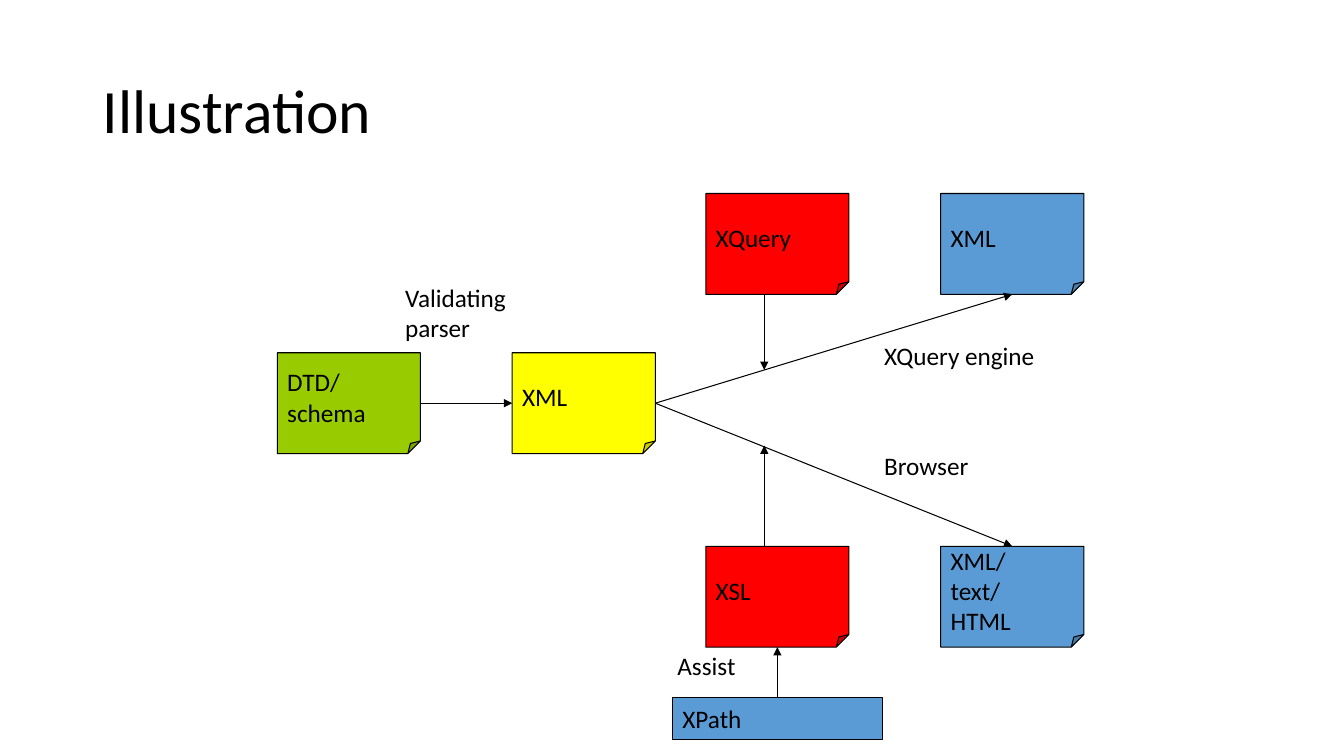
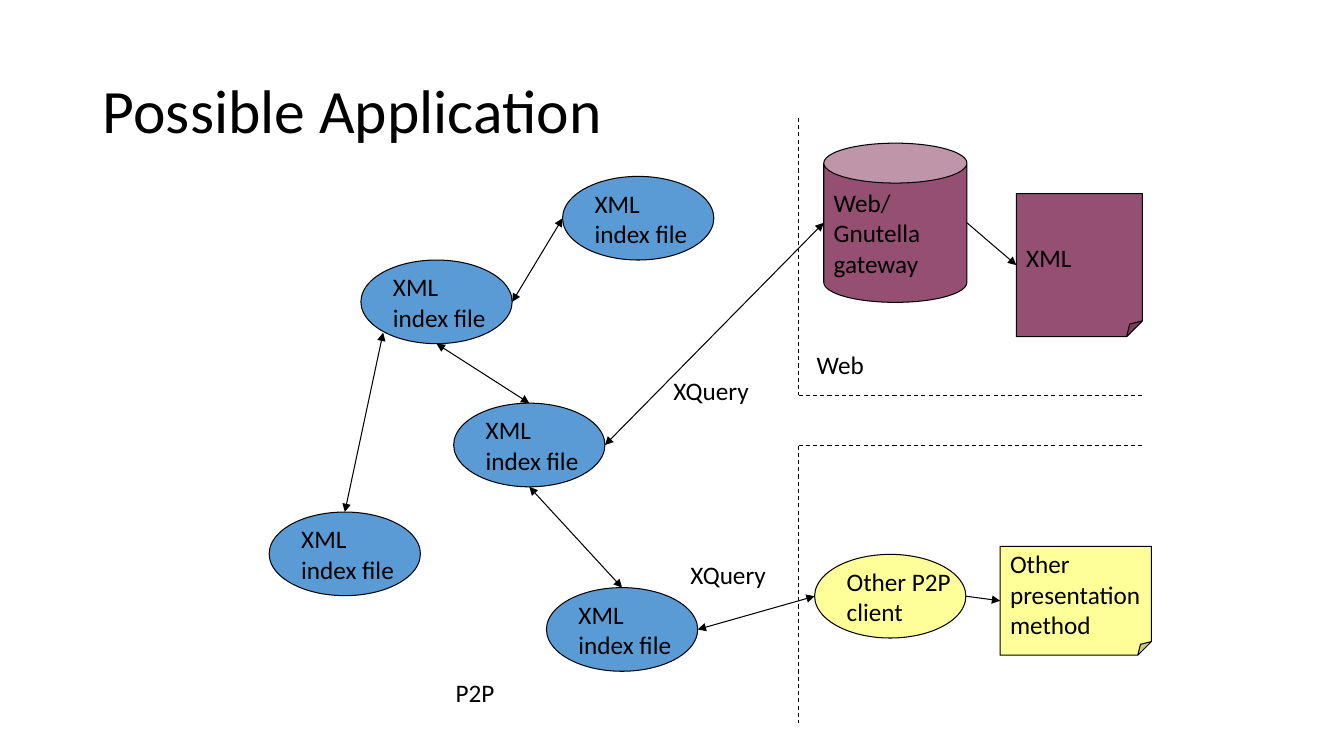
from pptx import Presentation
from pptx.dml.color import RGBColor
from pptx.enum.dml import MSO_LINE
from pptx.enum.shapes import MSO_CONNECTOR, MSO_SHAPE as SHAPE
from pptx.enum.text import MSO_ANCHOR, MSO_AUTO_SIZE, PP_ALIGN
from pptx.oxml.ns import qn
from pptx.util import Inches, Pt
from lxml import etree

COLORS = {
    "black": "000000", "blue": "5B9BD5", "red": "FF0000", "yellow": "FFFF00",
    "green": "99CC00", "plum": "954F72", "cream": "FFFF99",
}
FONT = "Calibri"
TOP, LEFT, BOTTOM, RIGHT = range(4)
SIDES = [(0.5, 0), (0, 0.5), (0.5, 1), (1, 0.5)]
ADJUSTMENTS = {SHAPE.FOLDED_CORNER: 12500, SHAPE.CAN: 27900}
FOUR_SIDED = (SHAPE.FOLDED_CORNER, SHAPE.RECTANGLE)


def add_node(slide, kind, left, top, width, height, text, fill=None):
    place = [Inches(length) for length in (left, top, width, height)]
    if kind is None:
        shape = slide.shapes.add_textbox(*place)
        shape.text_frame.auto_size = MSO_AUTO_SIZE.SHAPE_TO_FIT_TEXT
    else:
        shape = slide.shapes.add_shape(kind, *place)
        shape.shadow.inherit = False
        shape.fill.solid()
        shape.fill.fore_color.rgb = RGBColor.from_string(COLORS[fill])
        shape.line.color.rgb = RGBColor.from_string(COLORS["black"])
        shape.line.width = Pt(0.75)
        shape.text_frame.vertical_anchor = MSO_ANCHOR.MIDDLE
        if kind in ADJUSTMENTS:
            geometry = shape._element.spPr.find(qn("a:prstGeom"))
            for values in geometry.findall(qn("a:avLst")):
                geometry.remove(values)
            values = etree.SubElement(geometry, qn("a:avLst"))
            etree.SubElement(values, qn("a:gd"), name="adj", fmla=f"val {ADJUSTMENTS[kind]}")
    shape.text_frame.word_wrap = False
    paragraph = shape.text_frame.paragraphs[0]
    paragraph.alignment = PP_ALIGN.LEFT
    for index, line in enumerate(text.split("\n")):
        if index:
            paragraph.add_line_break()
        run = paragraph.add_run()
        run.text = line
        run.font.name = FONT
        run.font.size = Pt(18)
        run.font.color.rgb = RGBColor.from_string(COLORS["black"])
    return shape


def add_line(slide, start, end, arrows=("tailEnd",), dashed=False):
    points = []
    for first, second in (start, end):
        if isinstance(first, (int, float)):
            points += [Inches(first), Inches(second)]
        else:
            across, down = SIDES[second]
            points += [int(first.left + first.width * across),
                       int(first.top + first.height * down)]
    connector = slide.shapes.add_connector(MSO_CONNECTOR.STRAIGHT, *points)
    for (first, side), connect in ((start, connector.begin_connect),
                                   (end, connector.end_connect)):
        if not isinstance(first, (int, float)) and first.auto_shape_type in FOUR_SIDED:
            connect(first, side)
    connector.line.color.rgb = RGBColor.from_string(COLORS["black"])
    connector.line.width = Pt(0.75)
    if dashed:
        connector.line.dash_style = MSO_LINE.DASH
    properties = connector._element.spPr
    for arrow in arrows:
        etree.SubElement(properties.find(qn("a:ln")), qn(f"a:{arrow}"), type="triangle")
    etree.SubElement(properties, qn("a:effectLst"))


presentation = Presentation()
presentation.slide_width = Inches(13.33)
presentation.slide_height = Inches(7.5)

slides = []
for heading in ("Illustration", "Possible Application"):
    slide = presentation.slides.add_slide(presentation.slide_layouts[5])
    title = slide.shapes.title
    title.left, title.top = Inches(0.92), Inches(0.4)
    title.width, title.height = Inches(11.5), Inches(1.45)
    title.text_frame.vertical_anchor = MSO_ANCHOR.MIDDLE
    paragraph = title.text_frame.paragraphs[0]
    paragraph.alignment = PP_ALIGN.LEFT
    paragraph.line_spacing = 0.9
    run = paragraph.add_run()
    run.text = heading
    run.font.name = FONT
    run.font.size = Pt(44)
    run.font.color.rgb = RGBColor.from_string(COLORS["black"])
    slides.append(slide)
illustration, application = slides

documents = {}
for name, left, top, text, fill in (
    ("schema", 2.75, 3.5, "DTD/\nschema", "green"),
    ("source", 5.08, 3.5, "XML", "yellow"),
    ("xquery", 7, 1.92, "XQuery", "red"),
    ("query result", 9.33, 1.92, "XML", "blue"),
    ("xsl", 7, 5.42, "XSL", "red"),
    ("styled result", 9.33, 5.42, "XML/\ntext/\nHTML", "blue"),
):
    documents[name] = add_node(illustration, SHAPE.FOLDED_CORNER,
                               left, top, 1.42, 1, text, fill)
xpath = add_node(illustration, SHAPE.RECTANGLE, 6.67, 6.92, 2.08, 0.42, "XPath", "blue")

for start, end in (
    ((documents["schema"], RIGHT), (documents["source"], LEFT)),
    ((documents["source"], RIGHT), (documents["query result"], BOTTOM)),
    ((documents["source"], RIGHT), (documents["styled result"], TOP)),
    ((7.58, 2.92), (7.58, 3.67)),
    ((7.58, 5.42), (7.58, 4.42)),
    ((xpath, TOP), (documents["xsl"], BOTTOM)),
):
    add_line(illustration, start, end)

peers = [
    add_node(application, SHAPE.OVAL, left, top, 1.5, 0.83, "XML\nindex file", "blue")
    for left, top in ((5.58, 1.75), (3.58, 2.58), (4.5, 4), (2.67, 5.08), (5.42, 5.83))
]
upper_peer, hub_peer, middle_peer, left_peer, lower_peer = peers
gateway = add_node(application, SHAPE.CAN, 8.17, 1.42, 1.42, 1.58,
                   "Web/\nGnutella\ngateway", "plum")
web_document = add_node(application, SHAPE.FOLDED_CORNER, 10.08, 1.92, 1.25, 1.42,
                        "XML", "plum")
client = add_node(application, SHAPE.OVAL, 8.08, 5.5, 1.5, 0.83,
                  "Other P2P\nclient", "cream")
presenter = add_node(application, SHAPE.FOLDED_CORNER, 9.92, 5.42, 1.5, 1.08,
                     "Other\npresentation\nmethod", "cream")

for start, end in (
    ((3.8, 3.3), (left_peer, TOP)),
    ((hub_peer, RIGHT), (upper_peer, LEFT)),
    ((middle_peer, TOP), (hub_peer, BOTTOM)),
    ((lower_peer, TOP), (middle_peer, BOTTOM)),
    ((gateway, LEFT), (middle_peer, RIGHT)),
    ((client, LEFT), (lower_peer, RIGHT)),
):
    add_line(application, start, end, ("headEnd", "tailEnd"))
add_line(application, (gateway, RIGHT), (web_document, LEFT))
add_line(application, (client, RIGHT), (presenter, LEFT))

for corner, far_end in ((3.92, 1.17), (4.42, 7.17)):
    add_line(application, (7.92, min(corner, far_end)),
             (7.92, max(corner, far_end)), (), True)
    add_line(application, (7.92, corner), (11.33, corner), (), True)

for slide, left, top, width, height, text in (
    (illustration, 3.92, 2.75, 1.22, 0.71, "Validating\nparser"),
    (illustration, 8.67, 3.33, 1.71, 0.4, "XQuery engine"),
    (illustration, 8.67, 4.42, 1.05, 0.4, "Browser"),
    (illustration, 6.62, 6.4, 0.78, 0.4, "Assist"),
    (application, 4.42, 6.67, 0.59, 0.4, "P2P"),
    (application, 6.58, 3.67, 0.96, 0.4, "XQuery"),
    (application, 8, 3.42, 0.68, 0.4, "Web"),
    (application, 6.75, 5.5, 0.96, 0.4, "XQuery"),
):
    add_node(slide, None, left, top, width, height, text)

presentation.save("out.pptx")
